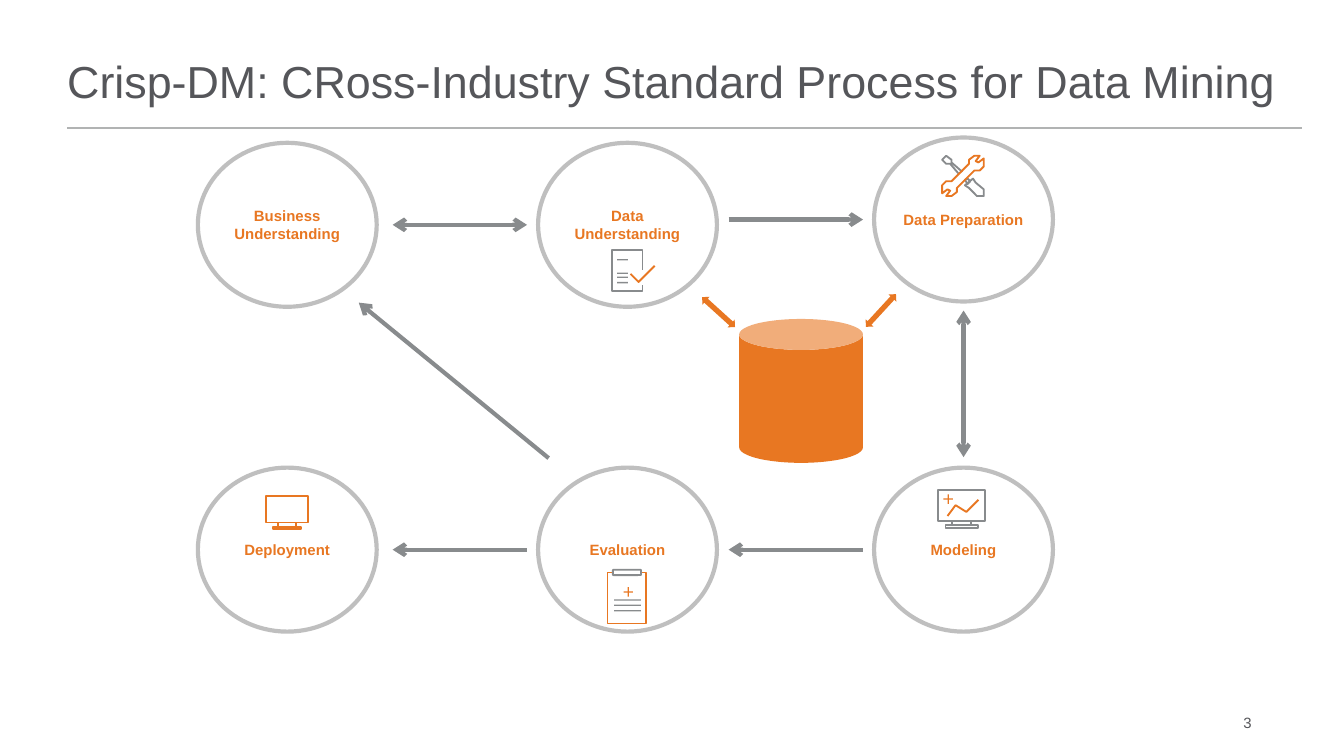
from dataclasses import dataclass

from lxml.etree import SubElement
from pptx import Presentation
from pptx.dml.color import RGBColor
from pptx.enum.shapes import MSO_CONNECTOR, MSO_SHAPE
from pptx.enum.text import MSO_ANCHOR, PP_ALIGN
from pptx.oxml.ns import qn
from pptx.util import Cm, Pt


@dataclass(frozen=True)
class Theme:
    font: str = "Arial"
    text: RGBColor = RGBColor.from_string("55565A")
    orange: RGBColor = RGBColor.from_string("E87722")
    gray: RGBColor = RGBColor.from_string("888B8D")
    ring: RGBColor = RGBColor.from_string("BFBFBF")
    rule: RGBColor = RGBColor.from_string("B1B3B3")
    white: RGBColor = RGBColor.from_string("FFFFFF")
    title_size: Pt = Pt(24)
    label_size: Pt = Pt(8)
    thin: Pt = Pt(1)
    thick: Pt = Pt(2.25)


theme = Theme()


def paint(shape, fill=None, outline=None, weight=theme.thin):
    shape.shadow.inherit = False
    if fill is None:
        shape.fill.background()
    else:
        shape.fill.solid()
        shape.fill.fore_color.rgb = fill
    if outline is None:
        shape.line.fill.background()
    else:
        shape.line.color.rgb = outline
        shape.line.width = weight


def write(shape, lines, size, color, anchor, align=PP_ALIGN.LEFT, bold=False, wrap=True):
    frame = shape.text_frame
    frame.word_wrap = wrap
    frame.vertical_anchor = anchor
    frame.margin_left = frame.margin_top = frame.margin_right = frame.margin_bottom = 0
    for index, line in enumerate(lines):
        paragraph = frame.add_paragraph() if index else frame.paragraphs[0]
        paragraph.alignment = align
        run = paragraph.add_run()
        run.text = line
        run.font.name = theme.font
        run.font.size = size
        run.font.bold = bold
        run.font.color.rgb = color


presentation = Presentation()
presentation.slide_width = Cm(25.4)
presentation.slide_height = Cm(14.29)
slide = presentation.slides.add_slide(presentation.slide_layouts[6])
shapes = slide.shapes

# Title and slide number
title = shapes.add_textbox(Cm(1.27), Cm(0.18), Cm(23.32), Cm(1.85))
write(title, ["Crisp-DM: CRoss-Industry Standard Process for Data Mining"],
      theme.title_size, theme.text, MSO_ANCHOR.BOTTOM)
slide_number = shapes.add_textbox(Cm(23.5), Cm(13.41), Cm(1.07), Cm(0.51))
write(slide_number, ["3"], theme.label_size, theme.text, MSO_ANCHOR.MIDDLE, wrap=False)

# Process phases
left_column, middle_column, right_column = 3.74, 10.17, 16.52
upper_row, raised_row, lower_row = 2.7, 2.6, 8.84
circle_width, circle_height = 3.38, 3.1
phases = [
    (left_column, upper_row, ["Business Understanding"]),
    (middle_column, upper_row, ["Data", "Understanding"]),
    (right_column, raised_row, ["Data Preparation"]),
    (left_column, lower_row, ["Deployment"]),
    (middle_column, lower_row, ["Evaluation"]),
    (right_column, lower_row, ["Modeling"]),
]
for left, top, lines in phases:
    circle = shapes.add_shape(
        MSO_SHAPE.OVAL, Cm(left), Cm(top), Cm(circle_width), Cm(circle_height))
    paint(circle, theme.white, theme.ring, theme.thick)
    write(circle, lines, theme.label_size, theme.orange, MSO_ANCHOR.MIDDLE,
          PP_ALIGN.CENTER, bold=True)

# Title rule and arrows between phases
start, end = ["headEnd"], ["tailEnd"]
connections = [
    (1.27, 2.42, 24.61, 2.42, []),
    (18.21, 8.64, 18.21, 5.87, start + end),
    (6.78, 5.72, 10.37, 8.66, start),
]
first_gap, second_gap, arrow_length = 7.42, 13.77, 2.54
for left, row, arrowheads in [
    (first_gap, upper_row, start + end),
    (second_gap, raised_row, end),
    (second_gap, lower_row, start),
    (first_gap, lower_row, start),
]:
    middle = row + circle_height / 2
    connections.append((left, middle, left + arrow_length, middle, arrowheads))
for from_x, from_y, to_x, to_y, arrowheads in connections:
    connector = shapes.add_connector(
        MSO_CONNECTOR.STRAIGHT, Cm(from_x), Cm(from_y), Cm(to_x), Cm(to_y))
    connector.line.color.rgb = theme.gray if arrowheads else theme.rule
    connector.line.width = theme.thick if arrowheads else theme.thin
    properties = connector._element.spPr
    for arrowhead in arrowheads:
        SubElement(properties.find(qn("a:ln")), qn(f"a:{arrowhead}"), type="arrow")
    SubElement(properties, qn("a:effectLst"))

# Icon corners; icons are measured in hundredths of 2.54 cm
unit = Cm(2.54) // 100
document, tools, chart_screen = (11.56, 4.72), (17.78, 2.92), (17.73, 9.27)
clipboard, screen = (11.48, 10.77), (5.03, 9.37)

# Icon outlines: the wrench is one end plus the same end turned half round
wrench_end = [(8, 20), (4, 20), (1, 23), (1, 29), (5, 26), (7, 27), (4, 31), (8, 31),
              (12, 28), (12, 25)]
wrench = wrench_end + [(33 - x, 32 - y) for x, y in wrench_end]
blade = [(16, 13), (8, 6), (8, 4), (4, 1), (1, 4), (4, 7), (7, 7), (13, 14)]
collar = [(20, 18), (18, 19), (20, 22), (22, 20)]
handle = [(18, 23), (24, 18), (26, 21), (32, 26), (32, 31), (27, 31), (21, 25)]
page = [(23, 15), (23, 0), (0, 0), (0, 31), (23, 31), (23, 26)]
outlines = [
    (document, theme.gray, page, False),
    (document, theme.orange, [(14, 18), (20, 24), (32, 12)], False),
    (tools, theme.gray, blade, False),
    (tools, theme.gray, collar, True),
    (tools, theme.gray, handle, True),
    (tools, theme.orange, wrench, True),
    (chart_screen, theme.orange, [(7, 19), (13, 11), (21, 16), (30, 7)], False),
]
for (left, top), color, points, closed in outlines:
    builder = shapes.build_freeform(*points[0], scale=unit)
    builder.add_line_segments(points[1:], close=closed)
    paint(builder.convert_to_shape(Cm(left), Cm(top)), outline=color)

# Icon boxes: the clipboard, then screen, neck and foot of both monitors
boxes = [
    (clipboard, theme.orange, MSO_SHAPE.RECTANGLE, None, 0, 2, 29, 38),
    (clipboard, theme.gray, MSO_SHAPE.ROUNDED_RECTANGLE, theme.white, 4, 0, 21, 4),
]
for origin, color, width, height, neck, foot in [
    (chart_screen, theme.gray, 35, 23, 14, 24),
    (screen, theme.orange, 31, 20, 13, 21),
]:
    tier_top = 0
    for tier_width, tier_height in [(width, height), (neck, 3), (foot, 2)]:
        boxes.append((origin, color, MSO_SHAPE.RECTANGLE, None,
                      (width - tier_width) / 2, tier_top, tier_width, tier_height))
        tier_top += tier_height
for (left, top), color, preset, fill, x, y, width, height in boxes:
    box = shapes.add_shape(preset, Cm(left) + int(x * unit), Cm(top) + y * unit,
                           width * unit, height * unit)
    paint(box, fill, color)

# Icon strokes: text lines and plus signs
bars = [(document, theme.gray, 4, y, 8, 1) for y in (7, 17, 20, 24)]
bars += [(clipboard, theme.gray, 5, y, 20, 1) for y in (22, 26, 30)]
for origin, x, y in [(clipboard, 15, 16), (chart_screen, 7, 6)]:
    bars += [(origin, theme.orange, x, y - 3, 1, 7), (origin, theme.orange, x - 3, y, 7, 1)]
for (left, top), color, x, y, width, height in bars:
    bar = shapes.add_shape(MSO_SHAPE.RECTANGLE, Cm(left) + x * unit, Cm(top) + y * unit,
                           width * unit, height * unit)
    paint(bar, color)

# Data store and its links
store = shapes.add_shape(MSO_SHAPE.CAN, Cm(13.97), Cm(6.03), Cm(2.34), Cm(2.72))
paint(store, theme.orange)
for left, top, rotation in [(13.16, 5.8, 42.2), (16.23, 5.77, 312.6)]:
    link = shapes.add_shape(
        MSO_SHAPE.LEFT_RIGHT_ARROW, Cm(left), Cm(top), Cm(0.84), Cm(0.2))
    link.rotation = rotation
    paint(link, theme.orange)

presentation.save("out.pptx")
